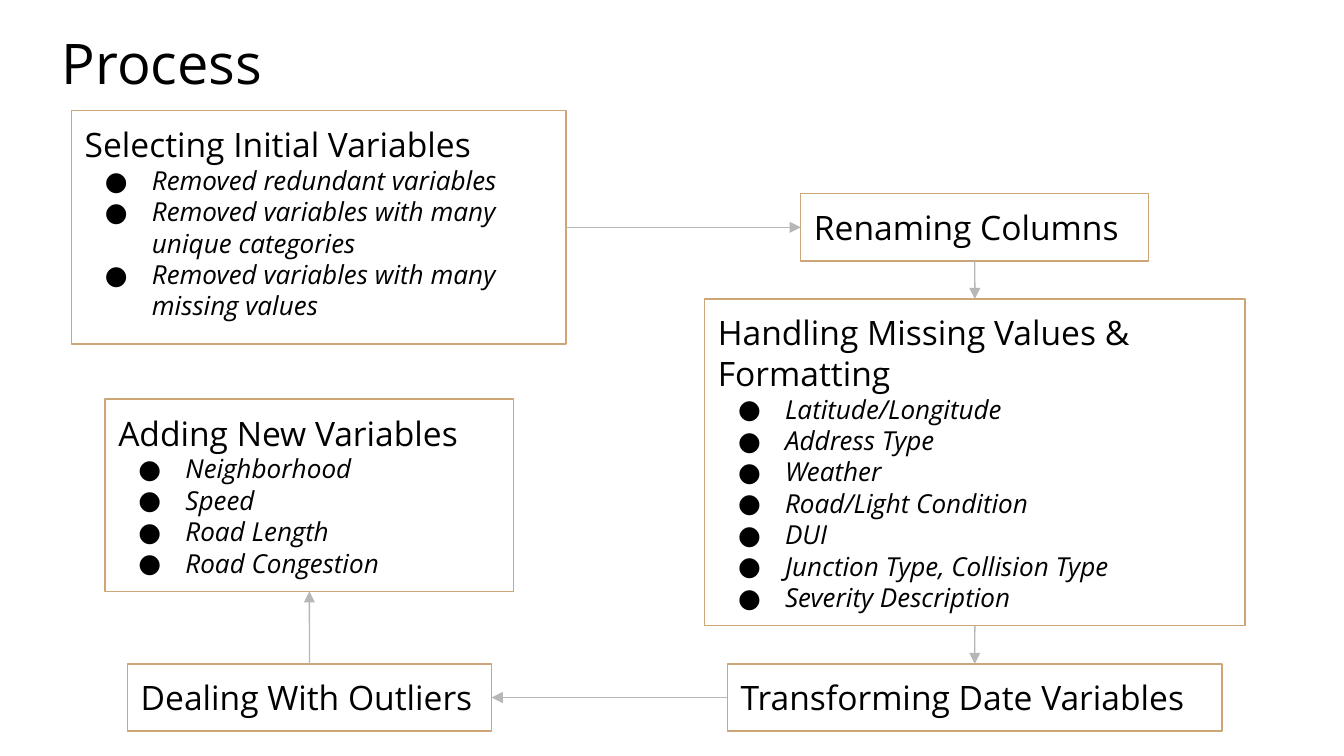
from lxml import etree
from pptx import Presentation
from pptx.dml.color import RGBColor
from pptx.enum.shapes import MSO_CONNECTOR, MSO_SHAPE
from pptx.enum.text import MSO_ANCHOR, PP_ALIGN
from pptx.oxml.ns import qn
from pptx.util import Pt

RECT = MSO_SHAPE.RECTANGLE
LINE = MSO_CONNECTOR.STRAIGHT
TOP = MSO_ANCHOR.TOP
MIDDLE = MSO_ANCHOR.MIDDLE
LEFT = PP_ALIGN.LEFT
FONT = "Open Sans"
COLORS = {"text": "000000", "edge": "CCA677", "arrow": "B7B7B7"}

STEPS = {
    "select": ((38.3, 59.2, 265, 125.2), "Selecting Initial Variables", [
        "Removed redundant variables",
        "Removed variables with many unique categories",
        "Removed variables with many missing values",
    ]),
    "rename": ((429, 103.8, 186.4, 36), "Renaming Columns", []),
    "handle": ((377.5, 160.2, 289.5, 175), "Handling Missing Values & Formatting", [
        "Latitude/Longitude",
        "Address Type",
        "Weather",
        "Road/Light Condition",
        "DUI",
        "Junction Type, Collision Type",
        "Severity Description",
    ]),
    "date": ((389.7, 355.7, 265, 36), "Transforming Date Variables", []),
    "outlier": ((68.3, 355.7, 195.1, 36), "Dealing With Outliers", []),
    "add": ((56.3, 213.8, 218.9, 103), "Adding New Variables", [
        "Neighborhood",
        "Speed",
        "Road Length",
        "Road Congestion",
    ]),
}


def color(name):
    return RGBColor.from_string(COLORS[name])


def set_text(par, text, size, italic=False):
    par.text = text
    par.alignment = LEFT
    for run in par.runs:
        run.font.name = FONT
        run.font.size = Pt(size)
        run.font.italic = italic
        run.font.color.rgb = color("text")


def set_frame(frame, anchor):
    frame.word_wrap = True
    frame.vertical_anchor = anchor
    frame.margin_left = frame.margin_right = Pt(7.2)
    frame.margin_top = frame.margin_bottom = Pt(7.2)


def add_bullet(par):
    props = par._p.get_or_add_pPr()
    props.set("marL", str(Pt(36)))
    props.set("indent", str(-Pt(25.2)))
    tint = etree.SubElement(props, qn("a:buClr"))
    etree.SubElement(tint, qn("a:srgbClr"), val=COLORS["text"])
    etree.SubElement(props, qn("a:buFont"), typeface=FONT)
    etree.SubElement(props, qn("a:buChar"), char="●")


def add_title(slide, box, text):
    frame = slide.shapes.add_textbox(*map(Pt, box)).text_frame
    set_frame(frame, MIDDLE)
    set_text(frame.paragraphs[0], text, 30)


def add_step(slide, box, head, items):
    shape = slide.shapes.add_shape(RECT, *map(Pt, box))
    shape.shadow.inherit = False
    shape.fill.background()
    shape.line.color.rgb = color("edge")
    shape.line.width = Pt(0.75)
    frame = shape.text_frame
    set_frame(frame, TOP)
    set_text(frame.paragraphs[0], head, 18)
    for item in items:
        par = frame.add_paragraph()
        add_bullet(par)
        set_text(par, item, 14, True)
    return shape


def add_arrow(slide, start, start_site, end, end_site):
    arrow = slide.shapes.add_connector(LINE, 0, 0, 0, 0)
    arrow.begin_connect(start, start_site)
    arrow.end_connect(end, end_site)
    arrow.line.color.rgb = color("arrow")
    arrow.line.width = Pt(0.75)
    edge = arrow.line._get_or_add_ln()
    etree.SubElement(edge, qn("a:tailEnd"), type="triangle")
    etree.SubElement(arrow._element.spPr, qn("a:effectLst"))


def add_flow(slide):
    top, left, bottom, right = range(4)
    steps = {name: add_step(slide, *step) for name, step in STEPS.items()}
    links = [
        ("select", right, "rename", left),
        ("rename", bottom, "handle", top),
        ("handle", bottom, "date", top),
        ("date", left, "outlier", right),
        ("outlier", top, "add", bottom),
    ]
    for start, start_site, end, end_site in links:
        add_arrow(slide, steps[start], start_site, steps[end], end_site)


def main():
    deck = Presentation()
    deck.slide_width, deck.slide_height = Pt(720), Pt(405)
    slide = deck.slides.add_slide(deck.slide_layouts[6])
    add_title(slide, (25.9, 7.2, 279.4, 51.8), "Process")
    add_flow(slide)
    deck.save("out.pptx")


if __name__ == "__main__":
    main()
